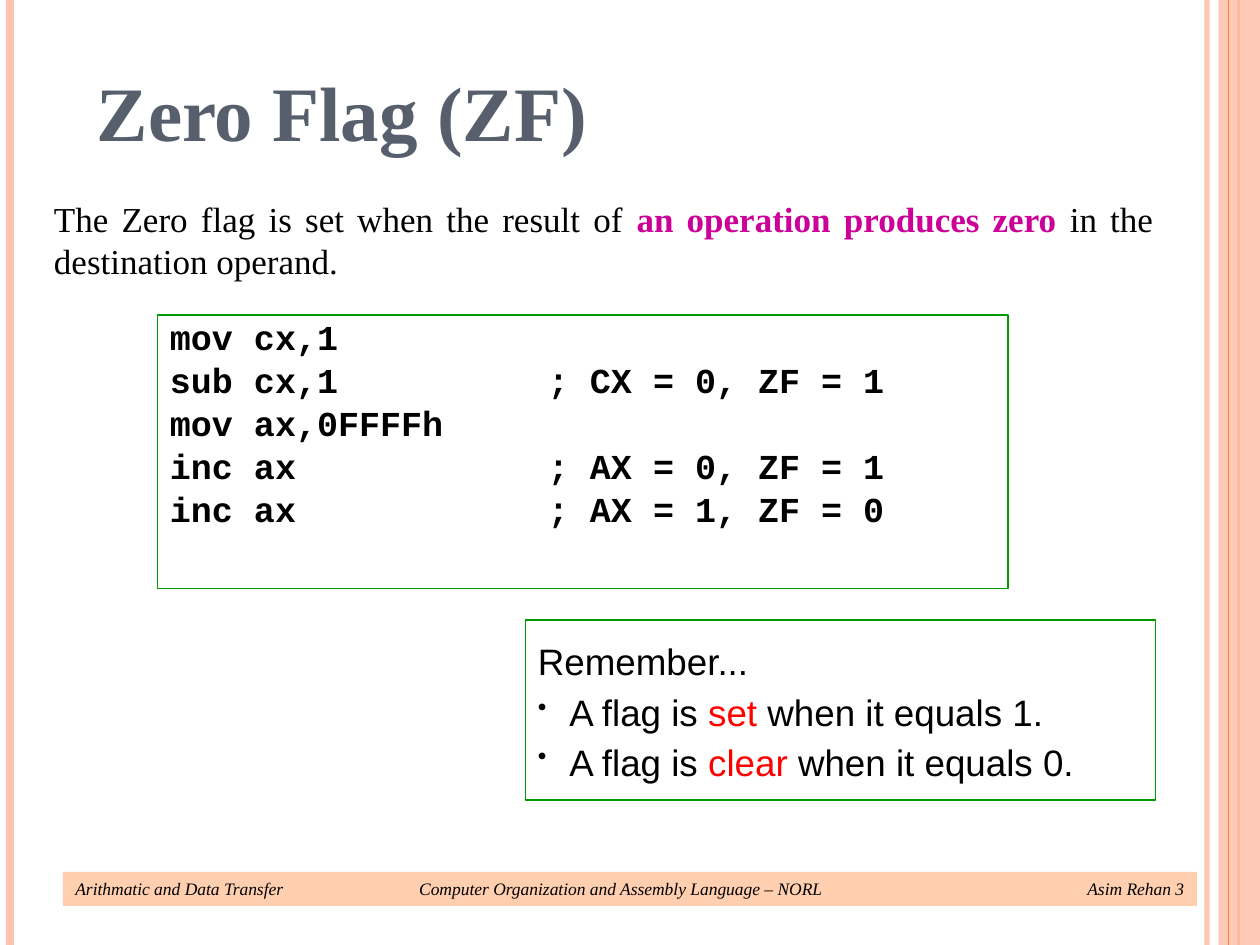
import pptx
import pptx.util
import pptx.dml.color
import pptx.enum.shapes
import pptx.enum.text
import pptx.oxml
import pptx.oxml.ns

Inches, Pt = pptx.util.Inches, pptx.util.Pt
RGBColor = pptx.dml.color.RGBColor
MSO_ANCHOR = pptx.enum.text.MSO_ANCHOR
MSO_AUTO_SIZE = pptx.enum.text.MSO_AUTO_SIZE
PP_ALIGN = pptx.enum.text.PP_ALIGN

BLACK = RGBColor(0x00, 0x00, 0x00)
WHITE = RGBColor(0xFF, 0xFF, 0xFF)
SLATE = RGBColor(0x57, 0x5F, 0x6D)
GREEN = RGBColor(0x00, 0x99, 0x00)
MAGENTA = RGBColor(0xCC, 0x00, 0x99)
RED = RGBColor(0xFF, 0x00, 0x00)
PEACH = RGBColor(0xFE, 0xC3, 0xAE)
ORANGE = RGBColor(0xFE, 0x86, 0x37)
FOOTER_FILL = RGBColor(0xFF, 0xCF, 0xAF)

# Content: a paragraph is a list of (text, colour, bold); None inherits
TITLE = [[("Zero Flag (ZF)", None, None)]]
DEFINITION = [[
    ("The Zero flag is set when the result of ", None, None),
    ("an operation produces zero ", MAGENTA, True),
    ("in the destination operand.", None, None),
]]
CODE = [[(line, None, None)] for line in (
    "mov cx,1",
    "sub cx,1 \t; CX = 0, ZF = 1",
    "mov ax,0FFFFh",
    "inc ax \t; AX = 0, ZF = 1",
    "inc ax \t; AX = 1, ZF = 0",
)]
REMINDER = [
    [("Remember...", None, None)],
    [("A flag is ", None, None), ("set", RED, None), (" when it equals 1.", None, None)],
    [("A flag is", None, None), (" clear ", RED, None), ("when it equals 0.", None, None)],
]
FOOTER = [[("Arithmatic and Data Transfer\t Computer Organization and Assembly "
            "Language – NORL\t Asim Rehan 3", None, None)]]

# Vertical rules: x, colour, width, opacity in percent
RULES_BEHIND = [(9.58, PEACH, 3, 93), (0.08, PEACH, 4.5, 100), (9.83, ORANGE, 1.5, 100)]
RULES_FRONT = [(9.75, ORANGE, 0.75, 100)]
PAGE_WIDTH, PAGE_HEIGHT = 10, 7.5

deck = pptx.Presentation()
deck.slide_width, deck.slide_height = Inches(PAGE_WIDTH), Inches(PAGE_HEIGHT)
page = deck.slides.add_slide(deck.slide_layouts[6])


def add_xml(parent, xml):
    namespace = pptx.oxml.ns.nsdecls("a")
    element = pptx.oxml.parse_xml(xml.replace("/>", f" {namespace}/>", 1)
                                  if xml.count("<") == 1
                                  else xml.replace(">", f" {namespace}>", 1))
    parent.append(element)


def set_opacity(fill, percent):
    color = fill._xPr.find(".//" + pptx.oxml.ns.qn("a:srgbClr"))
    add_xml(color, f'<a:alpha val="{percent * 1000}"/>')


def add_rules(rules):
    for x, color, width, opacity in rules:
        rule = page.shapes.add_connector(pptx.enum.shapes.MSO_CONNECTOR.STRAIGHT,
                                         Inches(x), 0, Inches(x), Inches(PAGE_HEIGHT))
        rule.line.color.rgb = color
        rule.line.width = Pt(width)
        if opacity < 100:
            set_opacity(rule.line.fill, opacity)
        add_xml(rule._element.spPr, "<a:effectLst/>")


def add_rectangle(left, top, width, height, fill=None, line=None):
    box = page.shapes.add_shape(pptx.enum.shapes.MSO_SHAPE.RECTANGLE, Inches(left),
                                Inches(top), Inches(width), Inches(height))
    box.shadow.inherit = False
    if fill is None:
        box.fill.background()
    else:
        box.fill.solid()
        box.fill.fore_color.rgb = fill
    if line is None:
        box.line.fill.background()
    else:
        box.line.color.rgb = line
        box.line.width = Pt(0.75)
    return box


def write(box, paragraphs, font, size, color=BLACK, bold=False, italic=False,
          insets=(0.05, 0.05), anchor=MSO_ANCHOR.TOP, grow=False,
          align=PP_ALIGN.LEFT, before=0, spacing=None, tabs=(), bullets_from=None):
    frame = box.text_frame
    frame.word_wrap = True
    frame.auto_size = MSO_AUTO_SIZE.SHAPE_TO_FIT_TEXT if grow else MSO_AUTO_SIZE.NONE
    frame.vertical_anchor = anchor
    frame.margin_left = frame.margin_right = Inches(0.1)
    frame.margin_top, frame.margin_bottom = map(Inches, insets)
    for index, spans in enumerate(paragraphs):
        para = frame.add_paragraph() if index else frame.paragraphs[0]
        para.alignment = align
        para.space_before = Pt(before)
        properties = para._p.get_or_add_pPr()
        bulleted = bullets_from is not None and index >= bullets_from
        if bullets_from is not None:
            properties.set("marL", str(Inches(0.25)))
            properties.set("indent", str(-Inches(0.25)))
        if spacing and (bullets_from is None or bulleted):
            para.line_spacing = spacing
        if bulleted:
            add_xml(properties, f'<a:buClr><a:srgbClr val="{BLACK}"/></a:buClr>')
            add_xml(properties, '<a:buSzPct val="70000"/>')
            add_xml(properties, '<a:buChar char="•"/>')
        if tabs:
            stops = "".join(f'<a:tab pos="{Inches(place)}" algn="{side}"/>'
                            for place, side in tabs)
            add_xml(properties, f"<a:tabLst>{stops}</a:tabLst>")
        para.font.name, para.font.size = font, Pt(size)
        para.font.bold, para.font.italic = bold, italic
        para.font.color.rgb = color
        for text, span_color, span_bold in spans:
            span = para.add_run()
            span.text = text
            if span_color is not None:
                span.font.color.rgb = span_color
            if span_bold is not None:
                span.font.bold = span_bold


# Side decoration
add_rules(RULES_BEHIND)
side_band = add_rectangle(9.67, 0, 0.33, PAGE_HEIGHT, fill=PEACH)
set_opacity(side_band.fill, 87)
add_rules(RULES_FRONT)

# Footer bar
footer = add_rectangle(0.5, 6.92, 9, 0.27, fill=FOOTER_FILL)
write(footer, FOOTER, "Times New Roman", 10, italic=True, grow=True, before=6.2,
      tabs=[(4.31, "ctr"), (8.8, "r")])

# Title
title = page.shapes.add_textbox(Inches(0.67), Inches(0.42), Inches(9), Inches(0.92))
write(title, TITLE, "Times New Roman", 44, SLATE, bold=True, anchor=MSO_ANCHOR.MIDDLE)

# Code listing
listing = add_rectangle(1.25, 2.5, 6.75, 2.17, line=GREEN)
write(listing, CODE, "Courier New", 20, bold=True, insets=(0.15, 0.25),
      before=12.5, spacing=0.5, tabs=[(0.5, "l"), (3, "l")])

# Definition
definition = add_rectangle(0.33, 1.42, 8.92, 0.97, line=WHITE)
write(definition, DEFINITION, "Times New Roman", 20, insets=(0.15, 0.15), grow=True,
      align=PP_ALIGN.JUSTIFY, before=12.5)

# Reminder
reminder = add_rectangle(4.17, 4.92, 5, 1.43, line=GREEN)
write(reminder, REMINDER, "Arial", 21, insets=(0.15, 0.15), grow=True,
      before=13.1, spacing=0.6, bullets_from=1)

deck.save("out.pptx")
